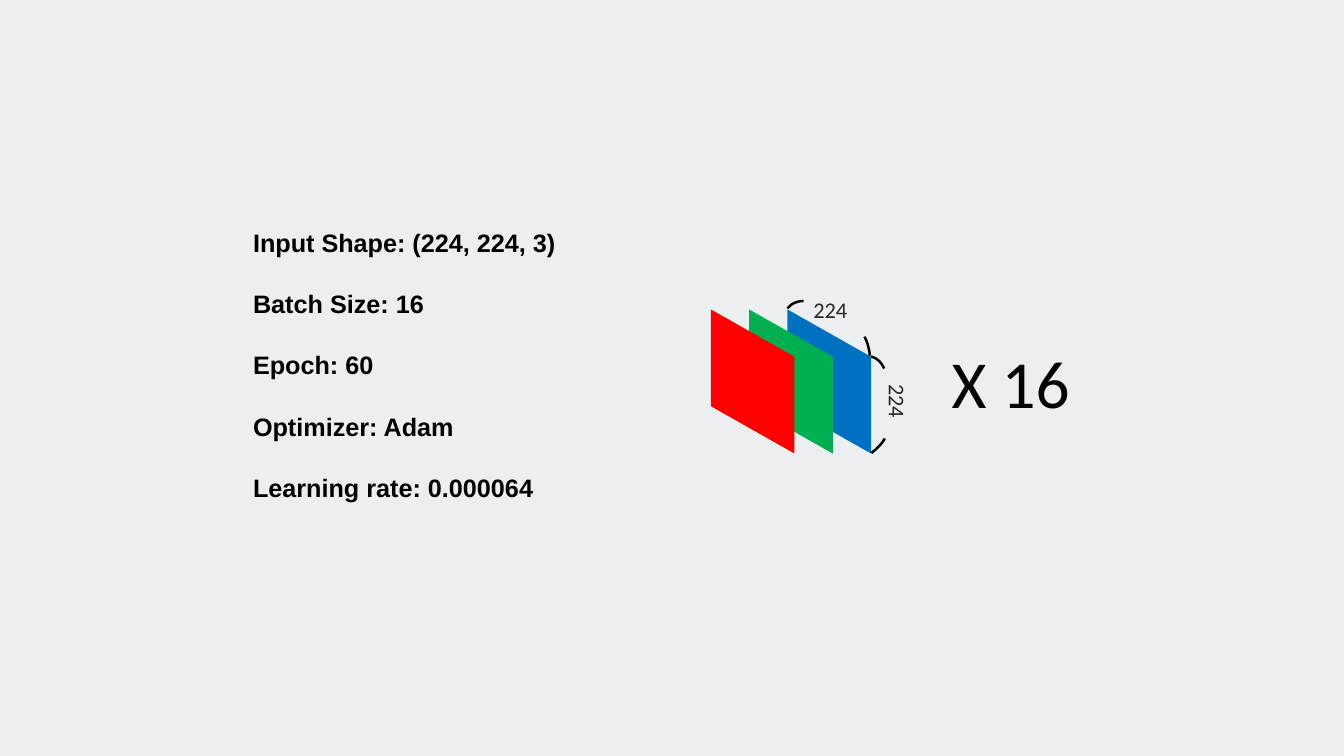
from pptx import Presentation
from pptx.dml.color import RGBColor
from pptx.enum import shapes, text
from pptx.oxml import parse_xml
from pptx.oxml import ns
from pptx.util import Inches, Pt

BLACK = RGBColor(0x00, 0x00, 0x00)
GREY = RGBColor(0x26, 0x26, 0x26)
PAPER = RGBColor(0xEB, 0xEF, 0xF0)
BLUE = RGBColor(0x00, 0x70, 0xC0)
GREEN = RGBColor(0x00, 0xB0, 0x50)
RED = RGBColor(0xFF, 0x00, 0x00)

PARAMS = [
    "Input Shape: (224, 224, 3)",
    "Batch Size: 16",
    "Epoch: 60",
    "Optimizer: Adam",
    "Learning rate: 0.000064",
]
PLANES = [BLUE, GREEN, RED]
LEFT, TOP, STEP = 7.81, 3.07, 0.38
WIDE, TALL, DROP = 0.83, 0.96, 0.47
LONG = (0.35, 0.67, 296, 342)
SHORT = (0.26, 0.35, 289, 0)
ARCS = [
    (8.28, 3.25, 0, LONG),
    (7.84, 2.94, 270, SHORT),
    (8.33, 4.04, 58.8, LONG),
    (8.52, 3.53, 337.7, SHORT),
]
LABELS = [
    ("224", (7.89, 2.94, 0.69, 0.26), 0, 16, GREY, text.PP_ALIGN.CENTER),
    ("224", (8.56, 3.85, 0.69, 0.26), 90, 16, GREY, text.PP_ALIGN.CENTER),
    ("X 16", (9.34, 3.33, 2.24, 0.91), 0, 48, BLACK, text.PP_ALIGN.LEFT),
]


def add_list(slide):
    """Fill the body placeholder with the training settings."""
    body = slide.placeholders[1]
    body.left, body.top = Inches(2.41), Inches(2.2)
    body.width, body.height = Inches(3.49), Inches(3.13)
    frame = body.text_frame
    frame.text = "\n".join(PARAMS)
    frame.auto_size = text.MSO_AUTO_SIZE.NONE
    for i, para in enumerate(frame.paragraphs):
        props = para._p.get_or_add_pPr()
        props.set("marL", "0")
        props.set("indent", "0")
        props.append(parse_xml(f"<a:buNone {ns.nsdecls('a')}/>"))
        para.space_before = Pt(22.3 if i else 0)
        for run in para.runs:
            font = run.font
            font.name, font.size, font.bold = "Arial", Pt(18), True
            font.color.rgb = BLACK


def add_plane(group, left, color):
    """Draw one slanted colour channel."""
    pen = group.shapes.build_freeform(Inches(left), Inches(TOP))
    right, low = left + WIDE, TOP + TALL
    ends = [(right, TOP + DROP), (right, low + DROP), (left, low)]
    pen.add_line_segments([(Inches(x), Inches(y)) for x, y in ends])
    plane = pen.convert_to_shape()
    plane.shadow.inherit = False
    plane.fill.solid()
    plane.fill.fore_color.rgb = color
    plane.line.fill.background()


def add_arc(group, left, top, turn, form):
    """Draw one curved dimension mark."""
    wide, tall, start, end = form
    arc = group.shapes.add_shape(
        shapes.MSO_SHAPE.ARC, Inches(left), Inches(top), Inches(wide), Inches(tall))
    arc.adjustments[0], arc.adjustments[1] = start * 0.6, end * 0.6
    arc.rotation = turn
    arc.shadow.inherit = False
    arc.fill.background()
    arc.line.color.rgb = BLACK
    arc.line.width = Pt(1.75)


def add_label(group, words, place, turn, size, color, align):
    """Write one label beside the planes."""
    box = group.shapes.add_textbox(*map(Inches, place))
    box.rotation = turn
    frame = box.text_frame
    frame.word_wrap = True
    frame.vertical_anchor = text.MSO_ANCHOR.MIDDLE
    frame.text = words
    para = frame.paragraphs[0]
    para.alignment = align
    font = para.runs[0].font
    font.name, font.size = "Calibri", Pt(size)
    font.color.rgb = color


def main():
    """Build and save the slide."""
    deck = Presentation()
    deck.slide_width, deck.slide_height = Inches(13.33), Inches(7.5)
    slide = deck.slides.add_slide(deck.slide_layouts[1])
    slide.background.fill.solid()
    slide.background.fill.fore_color.rgb = PAPER
    title = slide.shapes.title.element
    title.getparent().remove(title)
    add_list(slide)
    group = slide.shapes.add_group_shape()
    for i, color in enumerate(PLANES):
        add_plane(group, LEFT - i * STEP, color)
    for arc in ARCS:
        add_arc(group, *arc)
    for label in LABELS:
        add_label(group, *label)
    deck.save("out.pptx")


if __name__ == "__main__":
    main()
